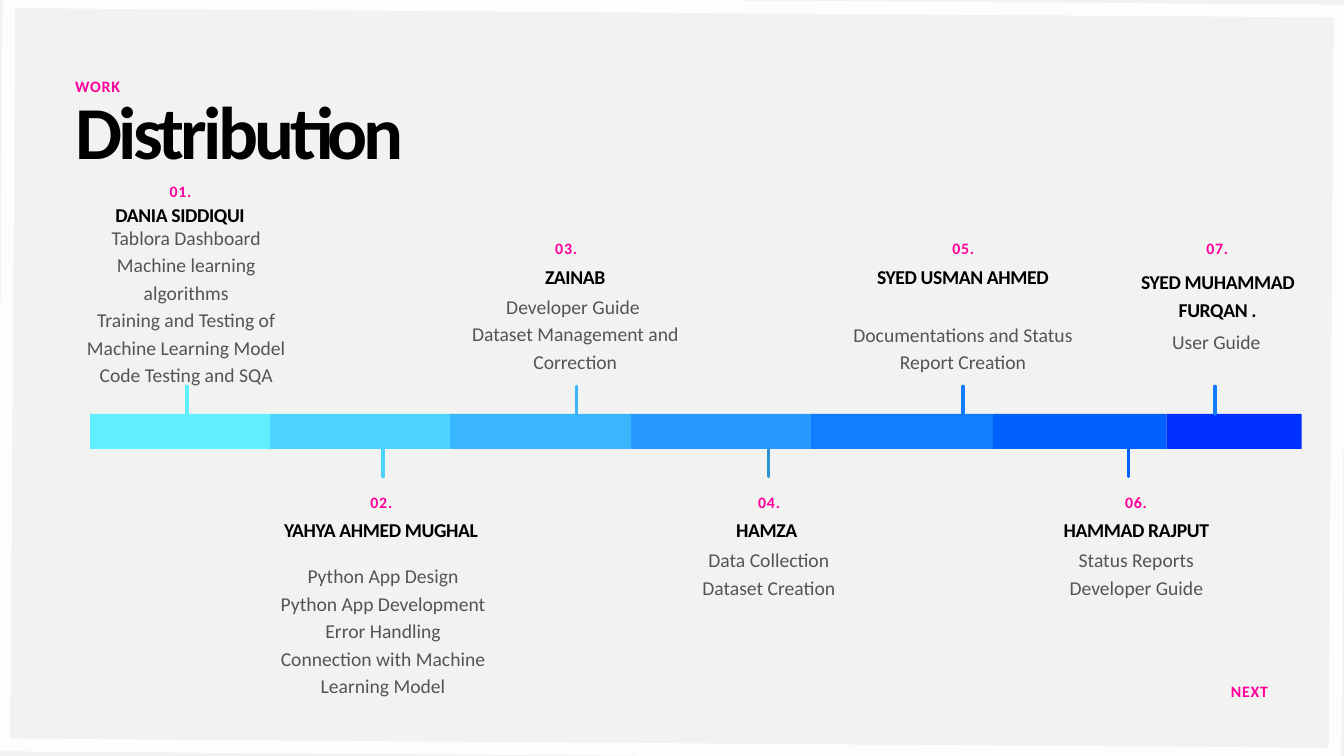
"""Build the work distribution timeline slide."""
from dataclasses import dataclass

import lxml.etree
import pptx
import pptx.dml.color
import pptx.enum.shapes
import pptx.enum.text
import pptx.oxml.ns
import pptx.util

Inches = pptx.util.Inches
ALIGN = pptx.enum.text.PP_ALIGN


@dataclass(frozen=True)
class TextStyle:
    """Look of one kind of text, with lengths in points."""
    size: float
    leading: float
    color: str
    bold: bool = True
    tracking: float = 0


@dataclass(frozen=True)
class Theme:
    """Colours, font and text styles of the slide."""
    font: str = "Calibri"
    background: str = "F2F2F0"
    frame: str = "FDFDFD"
    title: TextStyle = TextStyle(80, 88, "000000", tracking=-4)
    label: TextStyle = TextStyle(17, 23.8, "FF009D", tracking=0.8)
    name: TextStyle = TextStyle(21, 29.4, "000000", tracking=-0.4)
    task: TextStyle = TextStyle(21, 29.4, "545454", bold=False)
    bars: tuple = ("60EFFF", "4DD3FF", "3AB6FF", "269AFF", "137DFF", "0061FF", "0030FF")
    ticks: tuple = ("60EFFF", "4DD3FF", "3AB6FF", "2C92D5", "137DFF", "0061FF", "137DFF")


@dataclass(frozen=True)
class Member:
    """One team member: texts, (left, top) positions and line counts."""
    name: str
    tasks: tuple
    number_at: tuple
    name_at: tuple
    tasks_at: tuple
    task_lines: int
    tick_x: float
    name_lines: int = 1


THEME = Theme()
WIDTH, HEIGHT = 20, 11.25
FRAME_INSET = 0.19
BAR_TOP, BAR_HEIGHT, TICK_LENGTH = 6.16, 0.52, 0.41
BAR_EDGES = (1.34, 4.02, 6.7, 9.39, 12.07, 14.78, 17.36, 19.37)
COLUMN_WIDTH, NUMBER_WIDTH, LABEL_HEIGHT, LINE_HEIGHT = 3.3, 0.91, 0.31, 0.4
MEMBERS = (
    Member("DANIA SIDDIQUI",
           ("Tablora Dashboard", "Machine learning algorithms",
            "Training and Testing of Machine Learning Model", "Code Testing and SQA"),
           (2.23, 2.66), (1.03, 2.96), (1.12, 3.3), 6, 2.78),
    Member("YAHYA AHMED MUGHAL",
           ("Python App Design", "Python App Development", "Error Handling",
            "Connection with Machine Learning Model"),
           (5.22, 7.28), (4.02, 7.65), (4.05, 8.34), 5, 5.7),
    Member("ZAINAB", ("Developer Guide ", "Dataset Management and Correction"),
           (7.97, 3.51), (6.91, 3.88), (6.91, 4.33), 3, 8.58),
    Member("HAMZA ", ("Data Collection", "Dataset Creation"),
           (10.99, 7.28), (9.79, 7.65), (9.79, 8.1), 2, 11.44),
    Member("SYED USMAN AHMED", ("Documentations and Status Report Creation",),
           (13.88, 3.51), (12.68, 3.88), (12.68, 4.74), 2, 14.33),
    Member("HAMMAD RAJPUT", ("Status Reports", "Developer Guide"),
           (16.45, 7.28), (15.26, 7.65), (15.26, 8.1), 2, 16.79),
    Member("SYED MUHAMMAD FURQAN .", ("User Guide",),
           (17.66, 3.51), (16.47, 3.96), (16.45, 4.85), 1, 18.08, name_lines=2),
)


def rgb(color):
    """Return a colour object for a hex string."""
    return pptx.dml.color.RGBColor.from_string(color)


def fill_plain(shape, color):
    """Give a shape a flat fill without line or shadow."""
    shape.fill.solid()
    shape.fill.fore_color.rgb = rgb(color)
    shape.line.fill.background()
    shape.shadow.inherit = False


def format_paragraph(paragraph, style, alignment):
    """Apply a text style to a paragraph and clear its bullet."""
    paragraph.alignment = alignment
    paragraph.line_spacing = pptx.util.Pt(style.leading)
    paragraph.space_before = paragraph.space_after = pptx.util.Pt(0)
    properties = paragraph._p.get_or_add_pPr()
    properties.set("marL", "0")
    properties.set("indent", "0")
    lxml.etree.SubElement(properties, pptx.oxml.ns.qn("a:buNone"))
    font = paragraph.font
    font.name = THEME.font
    font.size = pptx.util.Pt(style.size)
    font.bold = style.bold
    font.color.rgb = rgb(style.color)
    font._rPr.set("spc", str(round(style.tracking * 100)))


def write_text(shape, box, lines, style, alignment=ALIGN.CENTER):
    """Place a text shape and write its paragraphs."""
    shape.left, shape.top, shape.width, shape.height = map(Inches, box)
    frame = shape.text_frame
    frame.margin_left = frame.margin_top = frame.margin_right = frame.margin_bottom = 0
    frame.word_wrap = True
    frame.auto_size = pptx.enum.text.MSO_AUTO_SIZE.SHAPE_TO_FIT_TEXT
    frame.vertical_anchor = pptx.enum.text.MSO_ANCHOR.TOP
    frame.text = "\n".join(lines)
    for paragraph in frame.paragraphs:
        format_paragraph(paragraph, style, alignment)


def add_text(slide, box, text, style, alignment=ALIGN.CENTER):
    """Add a text box with one paragraph."""
    write_text(slide.shapes.add_textbox(0, 0, 0, 0), box, [text], style, alignment)


def add_frame(slide):
    """Add the slightly turned border around the slide."""
    right, bottom = WIDTH - FRAME_INSET, HEIGHT - FRAME_INSET
    outer = ((0, 0), (0, HEIGHT), (WIDTH, HEIGHT), (WIDTH, 0))
    inner = ((right, bottom), (FRAME_INSET, bottom), (FRAME_INSET, FRAME_INSET), (right, FRAME_INSET))
    builder = slide.shapes.build_freeform(0, 0)
    for outline in (outer, inner):
        points = [(Inches(x), Inches(y)) for x, y in outline]
        builder.move_to(*points[0])
        builder.add_line_segments(points[1:], close=True)
    shape = builder.convert_to_shape()
    fill_plain(shape, THEME.frame)
    shape.rotation = 0.4


def add_bars(slide):
    """Add the coloured segments of the timeline."""
    for left, right, color in zip(BAR_EDGES, BAR_EDGES[1:], THEME.bars):
        bar = slide.shapes.add_shape(
            pptx.enum.shapes.MSO_SHAPE.RECTANGLE,
            Inches(left), Inches(BAR_TOP), Inches(right - left), Inches(BAR_HEIGHT))
        fill_plain(bar, color)


def add_tick(slide, x, top, color):
    """Add a round-ended tick joining a member to the timeline."""
    tick = slide.shapes.add_connector(
        pptx.enum.shapes.MSO_CONNECTOR.STRAIGHT,
        Inches(x), Inches(top), Inches(x), Inches(top + TICK_LENGTH))
    tick.line.color.rgb = rgb(color)
    tick.line.width = pptx.util.Pt(3.75)
    tick.line._get_or_add_ln().set("cap", "rnd")
    lxml.etree.SubElement(tick._element.spPr, pptx.oxml.ns.qn("a:effectLst"))


def add_member(slide, number, member, color, body):
    """Add a member's number, name, tasks and tick."""
    add_text(slide, (*member.number_at, NUMBER_WIDTH, LABEL_HEIGHT), f"{number:02}.", THEME.label)
    add_text(slide, (*member.name_at, COLUMN_WIDTH, member.name_lines * LINE_HEIGHT),
             member.name, THEME.name)
    write_text(body, (*member.tasks_at, COLUMN_WIDTH, member.task_lines * LINE_HEIGHT),
               member.tasks, THEME.task)
    above = member.number_at[1] < BAR_TOP
    add_tick(slide, member.tick_x, BAR_TOP - TICK_LENGTH if above else BAR_TOP + BAR_HEIGHT, color)


def main():
    """Build and save the presentation."""
    presentation = pptx.Presentation()
    presentation.slide_width, presentation.slide_height = Inches(WIDTH), Inches(HEIGHT)
    slide = presentation.slides.add_slide(presentation.slide_layouts.get_by_name("Comparison"))
    slide.background.fill.solid()
    slide.background.fill.fore_color.rgb = rgb(THEME.background)
    bodies = list(slide.placeholders)[1:]
    add_frame(slide)
    write_text(slide.shapes.title, (1.12, 1.37, 17.74, 1.22), ["Distribution"], THEME.title, ALIGN.LEFT)
    add_text(slide, (1.12, 1.09, 17.74, LABEL_HEIGHT), "WORK", THEME.label, ALIGN.LEFT)
    add_text(slide, (17.36, 10.09, 1.51, LABEL_HEIGHT), "NEXT", THEME.label, ALIGN.RIGHT)
    add_bars(slide)
    for number, (member, color) in enumerate(zip(MEMBERS, THEME.ticks), 1):
        body = bodies.pop(0) if bodies else slide.shapes.add_textbox(0, 0, 0, 0)
        add_member(slide, number, member, color, body)
    presentation.save("out.pptx")


if __name__ == "__main__":
    main()
